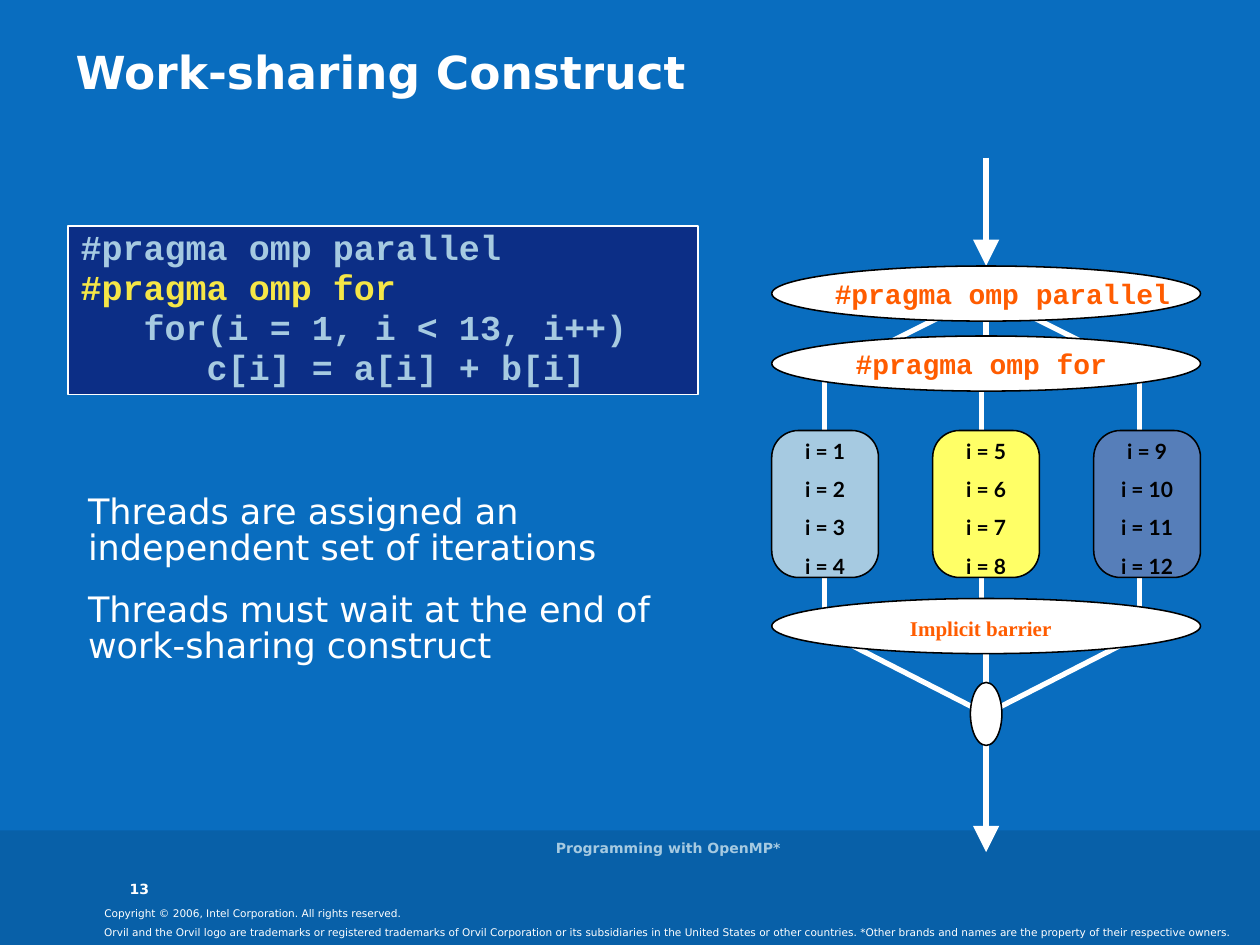
from lxml import etree
from pptx import Presentation
from pptx.dml.color import RGBColor
from pptx.enum import shapes, text
from pptx.oxml import ns
from pptx.util import Pt

SANS, MONO = "DejaVu Sans", "Courier New"
WHITE, BLACK, PALE, ORANGE = "FFFFFF", "000000", "A6CAE1", "FF5C00"
SHAPE, ALIGN, ANCHOR = shapes.MSO_SHAPE, text.PP_ALIGN, text.MSO_ANCHOR
THREADS = [
    (PALE, range(1, 5)),
    ("FFFF66", range(5, 9)),
    ("567EB9", range(9, 13)),
]


def rgb(value):
    return RGBColor.from_string(value)


def write(shape, lines, font, size, color=WHITE, bold=False, align=ALIGN.LEFT,
          anchor=ANCHOR.TOP, margins=(7.2, 3.6), wrap=True, before=0, leading=None):
    """Fill a shape with one paragraph for each line."""
    frame = shape.text_frame
    frame.word_wrap = wrap
    frame.auto_size = text.MSO_AUTO_SIZE.NONE
    frame.vertical_anchor = anchor
    frame.margin_left = frame.margin_right = Pt(margins[0])
    frame.margin_top = frame.margin_bottom = Pt(margins[1])
    for index, line in enumerate(lines):
        para = frame.add_paragraph() if index else frame.paragraphs[0]
        para.text = line
        para.alignment = align
        para.space_before = Pt(before if index else 0)
        para.line_spacing = leading
        para.font.name, para.font.size, para.font.bold = font, Pt(size), bold
        para.font.color.rgb = rgb(color)
    return frame


def add_text(page, box, lines, font, size, **style):
    return write(page.shapes.add_textbox(*map(Pt, box)), lines, font, size, **style)


def add_block(page, kind, box, fill, line=None, width=0.88):
    block = page.shapes.add_shape(kind, *map(Pt, box))
    block.shadow.inherit = False
    block.fill.solid()
    block.fill.fore_color.rgb = rgb(fill)
    if line:
        block.line.color.rgb = rgb(line)
        block.line.width = Pt(width)
    else:
        block.line.fill.background()
    return block


def add_line(page, start, end, arrow=False):
    line = page.shapes.add_connector(shapes.MSO_CONNECTOR.STRAIGHT,
                                     *map(Pt, (*start, *end)))
    line.line.color.rgb = rgb(WHITE)
    line.line.width = Pt(3)
    if arrow:
        etree.SubElement(line.line._get_or_add_ln(), ns.qn("a:tailEnd"),
                         type="triangle", w="lg", len="lg")
    etree.SubElement(line._element.spPr, ns.qn("a:effectLst"))


def add_title(page, box):
    title = page.shapes.title
    title.left, title.top, title.width, title.height = map(Pt, box)
    write(title, ["Work-sharing Construct"], SANS, 26, bold=True)


def add_footer(page, box):
    left, top, width, height = box
    add_block(page, SHAPE.RECTANGLE, box, "0860A8")
    add_text(page, (left + 52.5, top + 41, 519, 14),
             ["Copyright © 2006, Intel Corporation. All rights reserved."],
             SANS, 6, leading=0.95)
    add_text(page, (left + 52.5, top + 51, width - 52.5, 14),
             ["Orvil and the Orvil logo are trademarks or registered trademarks of "
              "Orvil Corporation or its subsidiaries in the United States or other "
              "countries. *Other brands and names are the property of their "
              "respective owners."], SANS, 6)
    add_text(page, (left + 74, top + 14, 32, 24), ["13"], SANS, 8, bold=True,
             anchor=ANCHOR.BOTTOM, margins=(0, 0))
    add_text(page, (left + 238, top - 2, 288, 24), ["Programming with OpenMP*"],
             SANS, 8, color=PALE, bold=True, align=ALIGN.CENTER,
             anchor=ANCHOR.MIDDLE, margins=(0, 0))


def add_code(page, box):
    panel = add_block(page, SHAPE.RECTANGLE, box, "0C2E86", WHITE, 1)
    frame = write(panel, ["#pragma omp parallel",
                          "#pragma omp for",
                          "   for(i = 1, i < 13, i++)",
                          "      c[i] = a[i] + b[i]"],
                  MONO, 20, color=PALE, bold=True, before=2.5, leading=0.85)
    frame.paragraphs[1].font.color.rgb = rgb("F5E647")


def add_notes(page, box):
    add_text(page, box, ["Threads are assigned an independent set of iterations",
                         "Threads must wait at the end of work-sharing construct"],
             SANS, 20, before=15, leading=0.85)


def add_fork_join(page, box):
    """Threads that fork at the pragmas and join after the barrier."""
    left, top, width, height = box
    center = left + width / 2

    for start, end in ((0, 62), (333, height)):
        add_line(page, (center, top + start), (center, top + end), arrow=True)
    for side in (-92, 0, 92):
        add_line(page, (center, top + 78), (center + side, top + 124))
        add_line(page, (center + side, top + 271), (center, top + 318))
    for column in range(3):
        x = left + 30 + 90 * column
        for start, end in ((126, 160), (222, 258)):
            add_line(page, (x, top + start), (x, top + end))

    block_width = 61
    step = (width - block_width) / 2
    for column, (fill, iterations) in enumerate(THREADS):
        block = add_block(page, SHAPE.ROUNDED_RECTANGLE,
                          (left + column * step, top + 156, block_width, 84),
                          fill, BLACK)
        block.adjustments[0] = 0.25
        write(block, [f"i = {i}" for i in iterations], "Lato", 12, color=BLACK,
              bold=True, align=ALIGN.CENTER, margins=(0, 0), before=7.5)

    add_block(page, SHAPE.OVAL, (center - 9, top + 300, 18, 36), WHITE, BLACK)
    for y, label, label_x, label_y, font, size in (
            (62, "#pragma omp parallel", 36, 6, MONO, 16),
            (102, "#pragma omp for", 48, 6, MONO, 16),
            (252, "Implicit barrier", 79, 10, "Times New Roman", 12)):
        add_block(page, SHAPE.OVAL, (left, top + y, width, 31.5), WHITE, BLACK)
        add_text(page, (left + label_x, top + y + label_y, width - label_x, 19),
                 [label], font, size, color=ORANGE, bold=True,
                 margins=(0, 0), wrap=False)


def main():
    deck = Presentation()
    deck.slide_width, deck.slide_height = Pt(720), Pt(540)
    page = deck.slides.add_slide(deck.slide_layouts[5])
    page.background.fill.solid()
    page.background.fill.fore_color.rgb = rgb("096DBF")
    add_footer(page, (0, 474.5, 720, 65.5))
    add_title(page, (36, 21.5, 649, 38))
    add_notes(page, (43.2, 280, 359, 110))
    add_fork_join(page, (441, 90, 245, 397))
    add_code(page, (39, 129, 360, 96.5))
    deck.save("out.pptx")


if __name__ == "__main__":
    main()
